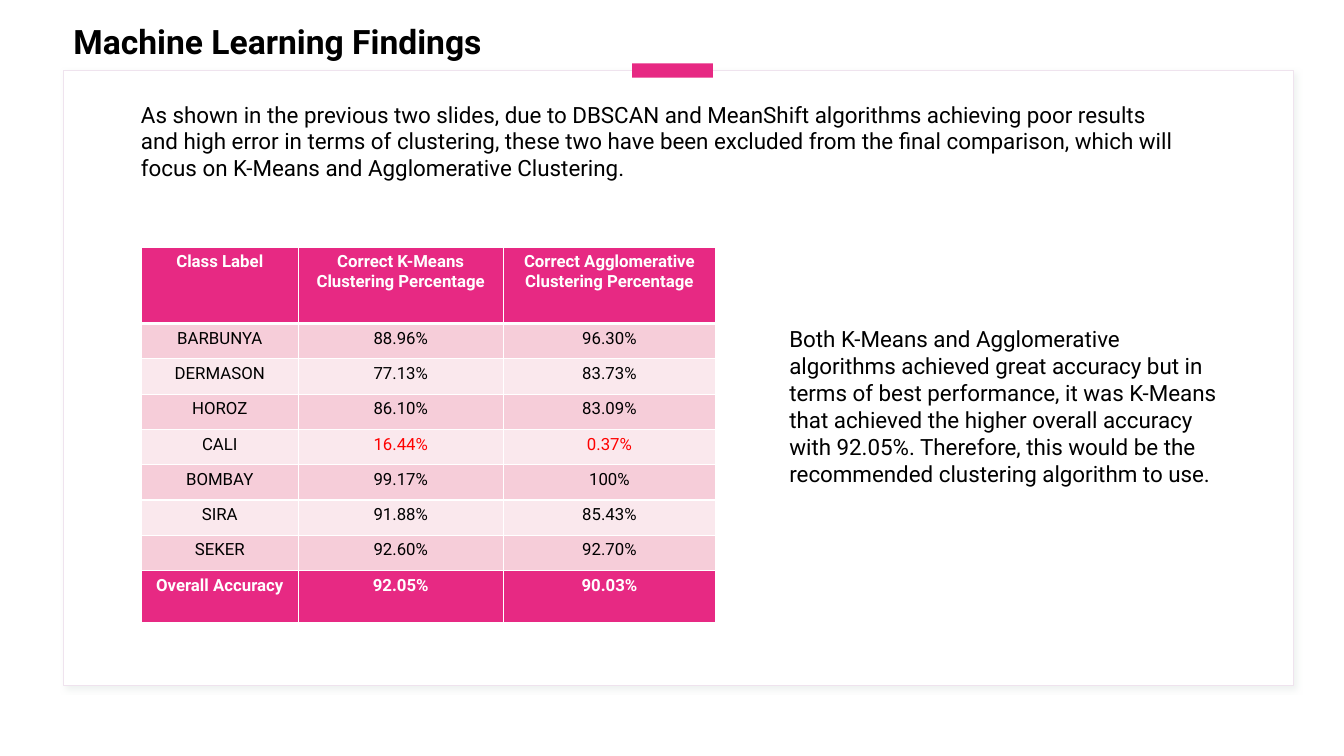
from pptx import Presentation
from pptx.dml.color import RGBColor as RGB
from pptx.enum.shapes import MSO_SHAPE as SHAPE
from pptx.enum.text import PP_ALIGN as ALIGN, MSO_ANCHOR as ANCHOR
from pptx.oxml import parse_xml
from pptx.oxml.ns import nsdecls
from pptx.util import Pt

PX = 9144  # EMU per px, 100 px to the inch

PINK = RGB(0xE7, 0x29, 0x83)
ROSE = RGB(0xF6, 0xCD, 0xD9)
PALE = RGB(0xFA, 0xE8, 0xED)
FRAME = RGB(0xEF, 0xE3, 0xEE)
SHADE = RGB(0xC8, 0xD3, 0xCF)
WHITE = RGB(0xFF, 0xFF, 0xFF)
BLACK = RGB(0, 0, 0)
RED = RGB(0xFF, 0, 0)

INTRO = ("As shown in the previous two slides, due to DBSCAN and MeanShift algorithms "
         "achieving poor results and high error in terms of clustering, these two have been "
         "excluded from the final comparison, which will focus on K-Means and "
         "Agglomerative Clustering.")
VERDICT = ("Both K-Means and Agglomerative algorithms achieved great accuracy but in terms of "
           "best performance, it was K-Means that achieved the higher overall accuracy with "
           "92.05%. Therefore, this would be the recommended clustering algorithm to use.")
RESULTS = [
    ("Class Label", "Correct K-Means Clustering Percentage",
     "Correct Agglomerative Clustering Percentage"),
    ("BARBUNYA", "88.96%", "96.30%"),
    ("DERMASON", "77.13%", "83.73%"),
    ("HOROZ", "86.10%", "83.09%"),
    ("CALI", "16.44%", "0.37%"),
    ("BOMBAY", "99.17%", "100%"),
    ("SIRA", "91.88%", "85.43%"),
    ("SEKER", "92.60%", "92.70%"),
    ("Overall Accuracy", "92.05%", "90.03%"),
]
COLS = [156, 203, 211]
ROWS = [76] + [35] * 7 + [52]


class Deck:
    """Slide builder with one shared text style."""
    base = {"name": "Roboto", "size": Pt(16), "bold": False}

    def __init__(self, w, h):
        self.prs = Presentation()
        self.prs.slide_width, self.prs.slide_height = w * PX, h * PX
        self.s = self.prs.slides.add_slide(self.prs.slide_layouts[6])

    def run(self, p, text, color=BLACK, **fmt):
        r = p.add_run()
        r.text = text
        for key, value in {**self.base, **fmt}.items():
            setattr(r.font, key, value)
        r.font.color.rgb = color

    def rect(self, *box, fill, line=None, shadow=None):
        sp = self.s.shapes.add_shape(SHAPE.RECTANGLE, *(v * PX for v in box))
        sp.shadow.inherit = False
        sp.fill.solid()
        sp.fill.fore_color.rgb = fill
        if line is None:
            sp.line.fill.background()
        else:
            sp.line.color.rgb = line
            sp.line.width = Pt(1)
        if shadow is not None:
            effects = sp._element.spPr.find("{*}effectLst")
            effects.append(parse_xml(
                f'<a:outerShdw {nsdecls("a")} blurRad="{Pt(4)}" dist="{Pt(3)}" dir="2700000" '
                f'algn="tl" rotWithShape="0"><a:srgbClr val="{shadow}">'
                '<a:alpha val="30000"/></a:srgbClr></a:outerShdw>'))

    def text(self, *box, text, spacing=None, **fmt):
        tf = self.s.shapes.add_textbox(*(v * PX for v in box)).text_frame
        tf.word_wrap = True
        tf.vertical_anchor = ANCHOR.TOP
        p = tf.paragraphs[0]
        p.line_spacing = spacing
        self.run(p, text, **fmt)

    def borders(self, cell, bottom):
        tcPr = cell._tc.get_or_add_tcPr()
        edges = {"lnL": 1, "lnR": 1, "lnT": 1, "lnB": bottom}
        for i, (tag, width) in enumerate(edges.items()):
            tcPr.insert(i, parse_xml(
                f'<a:{tag} {nsdecls("a")} w="{Pt(width)}"><a:solidFill>'
                f'<a:srgbClr val="{WHITE}"/></a:solidFill></a:{tag}>'))

    def table(self, x, y, cols, rows, data):
        box = (x, y, sum(cols), sum(rows))
        tbl = self.s.shapes.add_table(len(rows), len(cols), *(v * PX for v in box)).table
        for col, width in zip(tbl.columns, cols):
            col.width = width * PX
        last = len(rows) - 1
        for i, (row, height) in enumerate(zip(tbl.rows, rows)):
            row.height = height * PX
            strong = i in (0, last)
            for cell, value in zip(row.cells, data[i]):
                low = value.endswith("%") and float(value.rstrip("%")) < 50
                color = WHITE if strong else RED if low else BLACK
                cell.fill.solid()
                cell.fill.fore_color.rgb = PINK if strong else ROSE if i % 2 else PALE
                self.borders(cell, bottom=3 if i == 0 else 1)
                p = cell.text_frame.paragraphs[0]
                p.alignment = ALIGN.CENTER
                self.run(p, value, color, size=Pt(12), bold=strong)


def main():
    deck = Deck(1333, 750)

    # Frame with accent bar
    deck.rect(63, 70, 1220, 610, fill=WHITE, line=FRAME, shadow=SHADE)
    deck.rect(627, 63, 80, 14, fill=PINK)

    # Title
    deck.text(63, 12, 710, 49, text="Machine Learning Findings",
              spacing=1.1, size=Pt(24), bold=True)

    # Clustering results
    deck.table(140, 245, COLS, ROWS, RESULTS)

    # Commentary
    deck.text(130, 95, 1048, 91, text=INTRO)
    deck.text(773, 318, 459, 199, text=VERDICT)

    deck.prs.save("out.pptx")


if __name__ == "__main__":
    main()
